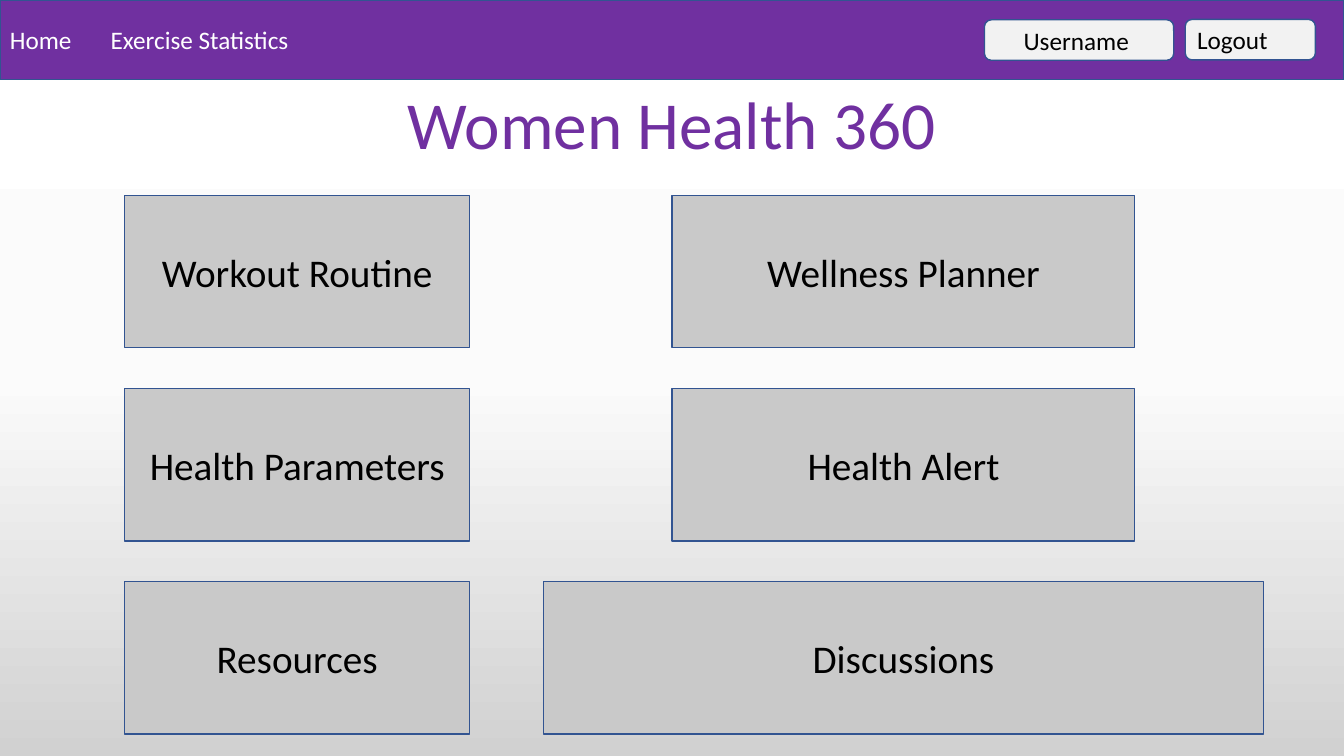
from copy import deepcopy

from pptx import Presentation
from pptx.dml.color import RGBColor
from pptx.enum.shapes import MSO_SHAPE
from pptx.enum.text import MSO_ANCHOR, PP_ALIGN
from pptx.util import Cm, Pt

RECTANGLE = MSO_SHAPE.RECTANGLE
ROUNDED = MSO_SHAPE.ROUNDED_RECTANGLE
LEFT = PP_ALIGN.LEFT
CENTER = PP_ALIGN.CENTER
MIDDLE = MSO_ANCHOR.MIDDLE
BOTTOM = MSO_ANCHOR.BOTTOM

PURPLE = "7030A0"
BLACK = "000000"


def color(value):
    return RGBColor.from_string(value)


def add_box(kind, left, top, width, height, fill, text, size, ink, align):
    box = page.shapes.add_shape(kind, Cm(left), Cm(top), Cm(width), Cm(height))
    box.shadow.inherit = False
    box.fill.solid()
    box.fill.fore_color.rgb = color(fill)
    box.line.color.rgb = color("325491")
    box.line.width = Pt(1)
    box.text_frame.vertical_anchor = MIDDLE
    para = box.text_frame.paragraphs[0]
    para.text = text
    para.alignment = align
    para.font.name = "Calibri"
    para.font.size = Pt(size)
    para.font.color.rgb = color(ink)


deck = Presentation()
deck.slide_width = Cm(33.87)
deck.slide_height = Cm(19.05)
page = deck.slides.add_slide(deck.slide_layouts[5])

backdrop = page.background.fill
backdrop.gradient()
backdrop.gradient_angle = 270
stop_list = page.background._cSld.xpath(".//a:gsLst")[0]
stop_list.insert(1, deepcopy(stop_list[0]))
for stop, (position, shade) in zip(
    backdrop.gradient_stops, [(0, "FFFFFF"), (0.5, "FBFBFB"), (1, "D1D1D1")]
):
    stop.position = position
    stop.color.rgb = color(shade)

title = page.shapes.title
title.left, title.top, title.width, title.height = Cm(4.23), Cm(1.63), Cm(25.4), Cm(2.62)
title.text_frame.vertical_anchor = BOTTOM
heading = title.text_frame.paragraphs[0]
heading.text = "Women Health 360"
heading.alignment = CENTER
heading.line_spacing = 0.9
heading.font.name = "Calibri"
heading.font.size = Pt(48)
heading.font.color.rgb = color(PURPLE)

tile_rows = [
    ("Workout Routine", "Wellness Planner", 11.66),
    ("Health Parameters", "Health Alert", 11.66),
    ("Resources", "Discussions", 18.16),
]
left_center, right_center = 7.49, 22.77
for row, (left_text, right_text, right_width) in enumerate(tile_rows):
    top = 4.92 + row * 4.87
    for text, center, width in [
        (left_text, left_center, 8.69),
        (right_text, right_center, right_width),
    ]:
        add_box(RECTANGLE, center - width / 2, top, width, 3.84,
                "C9C9C9", text, 28, BLACK, CENTER)

add_box(RECTANGLE, 0, 0, 33.87, 2.01, PURPLE, "Home\tExercise Statistics", 18, "FFFFFF", LEFT)
add_box(ROUNDED, 29.87, 0.49, 3.28, 1.02, "F2F2F2", "Logout", 18, BLACK, LEFT)
add_box(ROUNDED, 24.81, 0.5, 4.77, 1.02, "F2F2F2", "Username ", 18, BLACK, CENTER)

deck.save("out.pptx")
